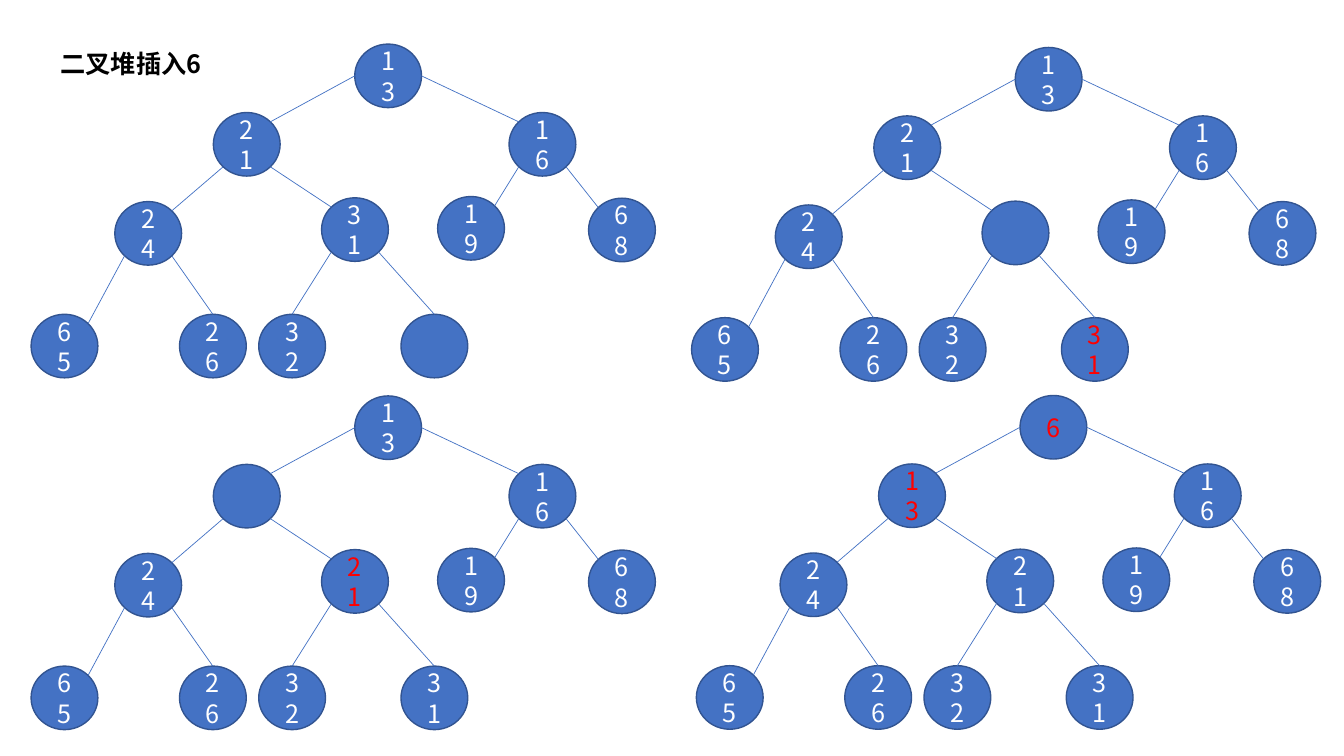
from lxml import etree
from pptx import Presentation
from pptx import util as u
from pptx.dml.color import RGBColor
from pptx.enum import shapes, text
from pptx.oxml.ns import qn


def color(value):
    return RGBColor.from_string(value)


class Deck:
    font = "Noto Sans CJK SC"
    size = 18
    fill, border, edge = "4472C4", "325491", "4472C4"
    node_w, node_h = 47.7, 45.4

    def __init__(self, width, height):
        self.prs = Presentation()
        self.prs.slide_width, self.prs.slide_height = u.Pt(width), u.Pt(height)
        self.s = self.prs.slides.add_slide(self.prs.slide_layouts[5])

    def run(self, p, words, rgb, bold=False):
        r = p.add_run()
        r.text = words
        r.font.size, r.font.bold = u.Pt(self.size), bold
        r.font.name = self.font
        r.font.color.rgb = color(rgb)
        etree.SubElement(r.font._element, qn("a:ea")).set("typeface", self.font)

    def title(self, words, left, top, width, height):
        sp = self.s.shapes.title
        sp.left, sp.top = u.Pt(left), u.Pt(top)
        sp.width, sp.height = u.Pt(width), u.Pt(height)
        tf = sp.text_frame
        tf.word_wrap = True
        tf.auto_size = text.MSO_AUTO_SIZE.SHAPE_TO_FIT_TEXT
        tf.vertical_anchor = text.MSO_ANCHOR.TOP
        p = tf.paragraphs[0]
        p.alignment = text.PP_ALIGN.LEFT
        self.run(p, words, "000000", bold=True)

    def node(self, x, y, key, rgb):
        sp = self.s.shapes.add_shape(
            shapes.MSO_SHAPE.OVAL, u.Pt(x), u.Pt(y), u.Pt(self.node_w), u.Pt(self.node_h))
        sp.shadow.inherit = False
        sp.fill.solid()
        sp.fill.fore_color.rgb = color(self.fill)
        sp.line.color.rgb = color(self.border)
        sp.line.width = u.Pt(1)
        tf = sp.text_frame
        tf.word_wrap = True
        tf.vertical_anchor = text.MSO_ANCHOR.MIDDLE
        p = tf.paragraphs[0]
        p.alignment = text.PP_ALIGN.CENTER
        if key:
            self.run(p, key, rgb)

    def line(self, start, end):
        sp = self.s.shapes.add_connector(
            shapes.MSO_CONNECTOR.STRAIGHT, *(u.Pt(v) for v in (*start, *end)))
        sp.line.color.rgb = color(self.edge)
        sp.line.width = u.Pt(0.5)
        etree.SubElement(sp._element.spPr, qn("a:effectLst"))

    def site(self, corner, fx, fy):
        return corner[0] + fx * self.node_w, corner[1] + fy * self.node_h

    def heap(self, left, top, keys, red):
        corners = [(left + x, top + y) for x, y in NODES]
        for i, (corner, key) in enumerate(zip(corners, keys)):
            self.node(*corner, key, "FF0000" if i in red else "FFFFFF")
        for child in range(1, len(corners)):
            parent = (child - 1) // 2
            is_left = child % 2 == 1
            near, far = (LOW, HIGH) if is_left else (HIGH, LOW)
            if parent == 0:
                start = (0, 0.5) if is_left else (1, 0.5)
            else:
                start = (near, HIGH)
            end = (0.5, 0) if child >= FIRST_TOP_JOINED else (far, LOW)
            self.line(self.site(corners[parent], *start), self.site(corners[child], *end))


LOW, HIGH = 0.146, 0.854
FIRST_TOP_JOINED = 8
NODES = [
    (231.2, 0),
    (130.2, 48.9), (341.4, 48.9),
    (59.8, 112.5), (207.5, 109.8), (290.4, 108.9), (398.2, 110.1),
    (0, 193), (106, 193), (162.6, 193), (264.2, 193),
]
HEAPS = [
    (22.2, 31.5, "13 21 16 24 31 19 68 65 26 32 -", ()),
    (494, 33.9, "13 21 16 24 - 19 68 65 26 32 31", (10,)),
    (22.2, 282.8, "13 - 16 24 21 19 68 65 26 32 31", (4,)),
    (497.4, 282.5, "6 13 16 24 21 19 68 65 26 32 31", (0, 1)),
]


def main():
    deck = Deck(960, 540)
    deck.title("二叉堆插入6", 36, 31, 276.5, 29)
    for left, top, keys, red in HEAPS:
        deck.heap(left, top, [k.strip("-") for k in keys.split()], red)
    deck.prs.save("out.pptx")


if __name__ == "__main__":
    main()
